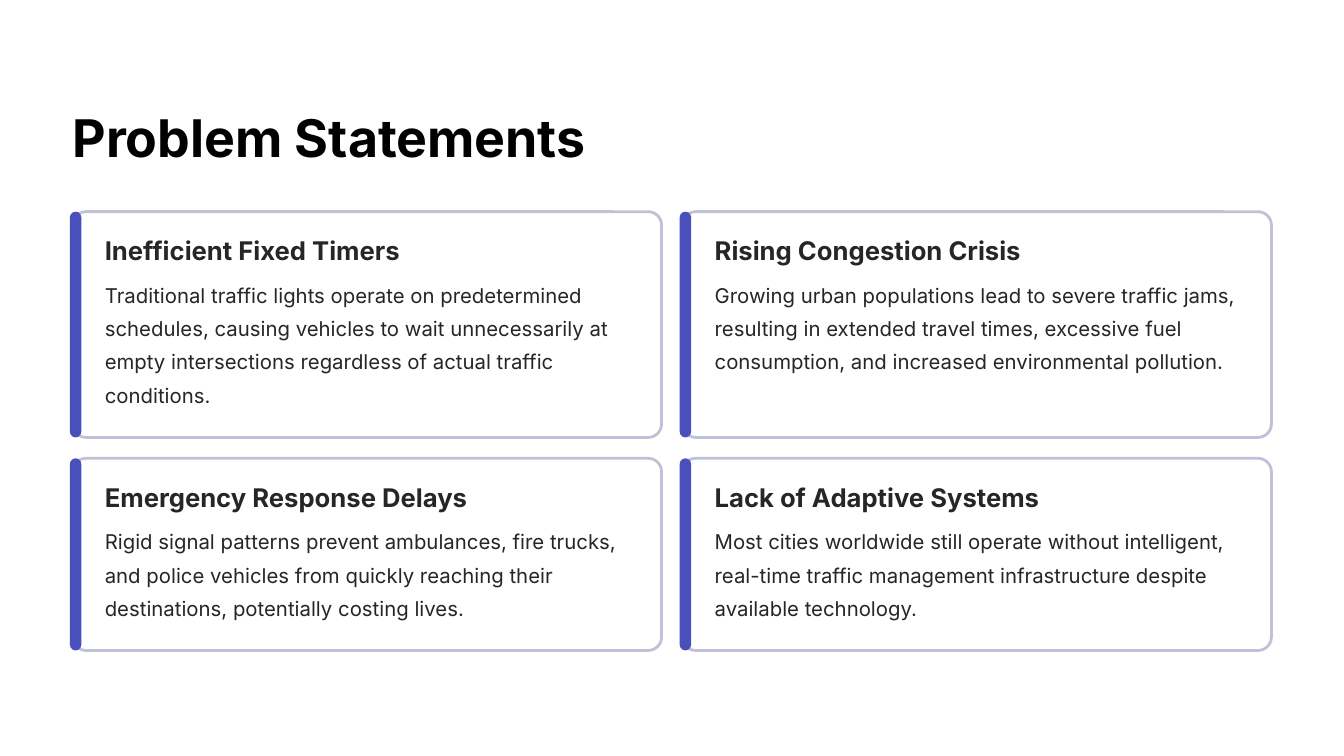
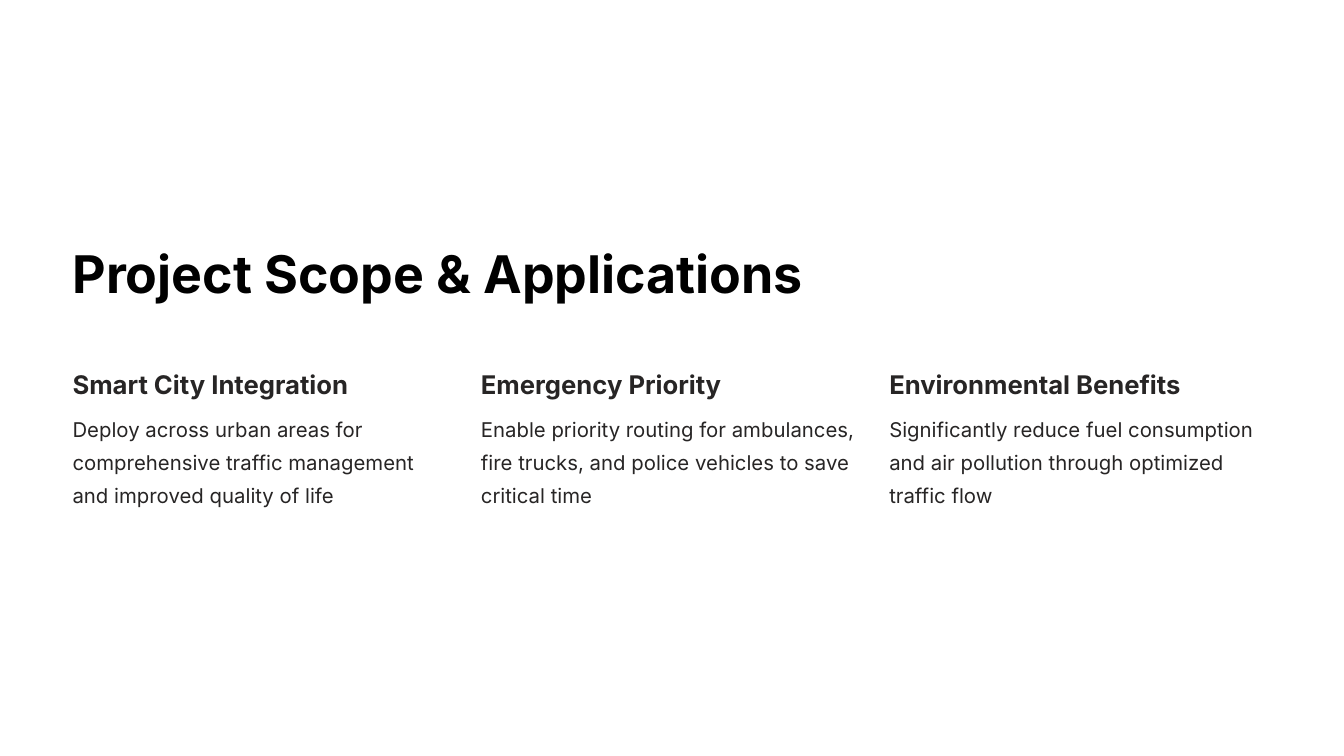
from pptx import Presentation
from pptx.dml.color import RGBColor
from pptx.enum.shapes import MSO_SHAPE
from pptx.enum.text import MSO_AUTO_SIZE
from pptx.util import Pt

PX = 9144
SLIDE_WIDTH, SLIDE_HEIGHT = 2000, 1125
MARGIN = 108
CONTENT_WIDTH = SLIDE_WIDTH - 2 * MARGIN

WHITE = RGBColor(0xFF, 0xFF, 0xFF)
MIST = RGBColor(0xF6, 0xF4, 0xF4)
BLACK = RGBColor(0x00, 0x00, 0x00)
INK = RGBColor(0x27, 0x25, 0x25)
INDIGO = RGBColor(0x49, 0x50, 0xBC)
LAVENDER = RGBColor(0xC0, 0xC1, 0xD7)

FONT = "Inter"
TITLE_STYLE = (55.6, 69.4, BLACK, True)
HEADING_STYLE = (27.5, 34.4, INK, True)
BODY_STYLE = (21.8, 35.6, INK, False)
TITLE_HEIGHT, HEADING_HEIGHT = 100, 51
BODY_OFFSET, BODY_LINE = 60, 50

PROBLEMS_TITLE = ("Problem Statements", 775)
PROBLEM_ROWS = [
    (336, [
        ("Inefficient Fixed Timers", 446, 4,
         "Traditional traffic lights operate on predetermined schedules, causing vehicles to wait "
         "unnecessarily at empty intersections regardless of actual traffic conditions."),
        ("Rising Congestion Crisis", 462, 3,
         "Growing urban populations lead to severe traffic jams, resulting in extended travel times, "
         "excessive fuel consumption, and increased environmental pollution."),
    ]),
    (286, [
        ("Emergency Response Delays", 547, 3,
         "Rigid signal patterns prevent ambulances, fire trucks, and police vehicles from quickly "
         "reaching their destinations, potentially costing lives."),
        ("Lack of Adaptive Systems", 490, 3,
         "Most cities worldwide still operate without intelligent, real-time traffic management "
         "infrastructure despite available technology."),
    ]),
]

SCOPE_TITLE = ("Project Scope & Applications", 1092)
APPLICATIONS = [
    ("Smart City Integration", 416, 3,
     "Deploy across urban areas for comprehensive traffic management and improved quality of life"),
    ("Emergency Priority", 388, 3,
     "Enable priority routing for ambulances, fire trucks, and police vehicles to save critical time"),
    ("Environmental Benefits", 440, 3,
     "Significantly reduce fuel consumption and air pollution through optimized traffic flow"),
]


def scaled(*lengths):
    return [round(length * PX) for length in lengths]


def add_text(slide, text, left, top, width, height, style):
    size, line_spacing, color, bold = style
    frame = slide.shapes.add_textbox(*scaled(left, top, width, height)).text_frame
    frame.margin_left = frame.margin_top = frame.margin_right = frame.margin_bottom = 0
    frame.word_wrap = True
    frame.auto_size = MSO_AUTO_SIZE.SHAPE_TO_FIT_TEXT
    paragraph = frame.paragraphs[0]
    paragraph.text = text
    paragraph.line_spacing = Pt(line_spacing)
    font = paragraph.font
    font.name, font.size, font.bold = FONT, Pt(size), bold
    font.color.rgb = color


def add_topic(slide, topic, left, top, width):
    heading, heading_width, line_count, body = topic
    add_text(slide, heading, left, top, heading_width, HEADING_HEIGHT, HEADING_STYLE)
    add_text(slide, body, left, top + BODY_OFFSET, width, BODY_LINE * line_count + 8, BODY_STYLE)


def add_block(slide, kind, left, top, width, height, fill):
    shape = slide.shapes.add_shape(kind, *scaled(left, top, width, height))
    shape.shadow.inherit = False
    shape.fill.solid()
    shape.fill.fore_color.rgb = fill
    shape.line.fill.background()
    return shape


def add_rounded(slide, left, top, width, height, radius, fill):
    shape = add_block(slide, MSO_SHAPE.ROUNDED_RECTANGLE, left, top, width, height, fill)
    shape.adjustments[0] = radius / min(width, height)
    return shape


def add_titled_slide(presentation, title, top):
    slide = presentation.slides.add_slide(presentation.slide_layouts[6])
    for fill in (MIST, WHITE):
        add_block(slide, MSO_SHAPE.RECTANGLE, 0, 0, SLIDE_WIDTH, SLIDE_HEIGHT, fill)
    text, width = title
    add_text(slide, text, MARGIN, top, width, TITLE_HEIGHT, TITLE_STYLE)
    return slide


def build_problems(presentation):
    gap = 31
    bar_width, bar_overhang = 17, 4
    text_inset_x, text_inset_y = 48, 33
    card_width = (CONTENT_WIDTH - gap) / 2
    text_width = card_width - text_inset_x - 36
    slide = add_titled_slide(presentation, PROBLEMS_TITLE, 153)
    top = 315
    for card_height, problems in PROBLEM_ROWS:
        for column, problem in enumerate(problems):
            left = MARGIN + column * (card_width + gap)
            card = add_rounded(slide, left, top, card_width, card_height, 20, WHITE)
            card.line.color.rgb = LAVENDER
            card.line.width = Pt(3)
            add_rounded(slide, left - bar_overhang, top, bar_width, card_height, bar_width / 2, INDIGO)
            add_topic(slide, problem, left + text_inset_x, top + text_inset_y, text_width)
        top += card_height + gap


def build_scope(presentation):
    gap = 39
    column_width = (CONTENT_WIDTH - gap * (len(APPLICATIONS) - 1)) / len(APPLICATIONS)
    slide = add_titled_slide(presentation, SCOPE_TITLE, 356)
    for column, application in enumerate(APPLICATIONS):
        add_topic(slide, application, MARGIN + column * (column_width + gap), 547, column_width)


def main():
    presentation = Presentation()
    presentation.slide_width, presentation.slide_height = scaled(SLIDE_WIDTH, SLIDE_HEIGHT)
    build_problems(presentation)
    build_scope(presentation)
    presentation.save("out.pptx")


if __name__ == "__main__":
    main()
